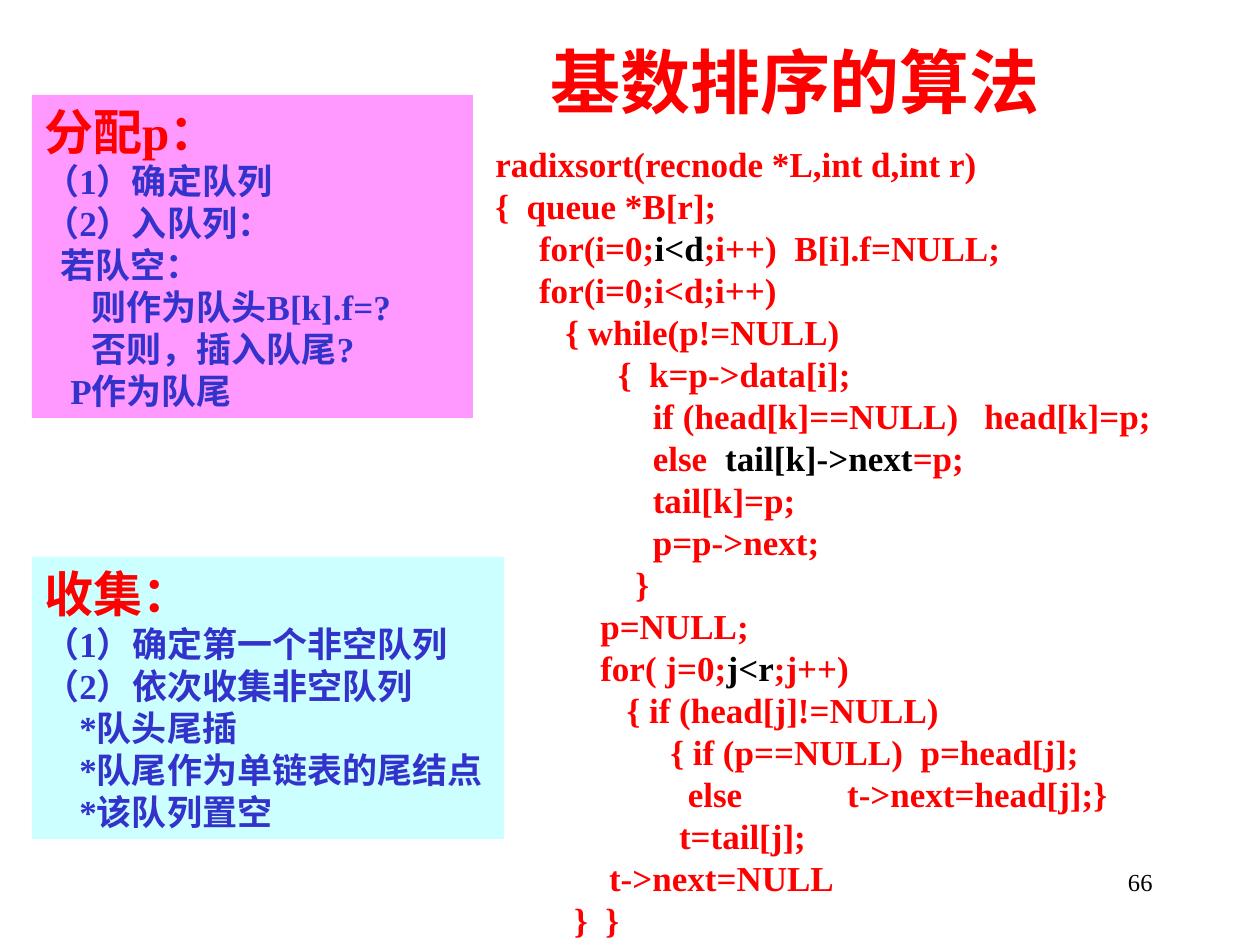
import pptx
import pptx.util
import pptx.dml.color
import pptx.enum.lang
import pptx.enum.shapes
import pptx.enum.text
from dataclasses import dataclass

ALIGN = pptx.enum.text.PP_ALIGN
ANCHOR = pptx.enum.text.MSO_ANCHOR
SCALE = 914400 / 126  # EMU in one px


@dataclass(frozen=True)
class Theme:
    face: str = "Times New Roman"
    red: str = "FF0000"
    blue: str = "3333CC"
    black: str = "000000"
    pink: str = "FF99FF"
    cyan: str = "CCFFFF"
    title: int = 40
    head: int = 28
    body: int = 20
    page: int = 14


THEME = Theme()

# Panel lines: indent in px, text
DEAL = [
    (0, "（1）确定队列"),
    (0, "（2）入队列："),
    (16, "若队空："),
    (47, "则作为队头B[k].f=?"),
    (47, "否则，插入队尾?"),
    (26, "P作为队尾"),
]
GATHER = [
    (0, "（1）确定第一个非空队列"),
    (0, "（2）依次收集非空队列"),
    (35, "*队头尾插"),
    (35, "*队尾作为单链表的尾结点"),
    (35, "*该队列置空"),
]

# Bars enclose the parts shown in black
CODE = """radixsort(recnode *L,int d,int r)
{  queue *B[r];
     for(i=0;|i<d|;i++)  B[i].f=NULL;
     for(i=0;i<d;i++)
        { while(p!=NULL)
              {  k=p->data[i];
                  if (head[k]==NULL)   head[k]=p;
                  else  |tail[k]->next|=p;
                  tail[k]=p;
                  p=p->next;
                }
            p=NULL;
            for( j=0;|j<r|;j++)
               { if (head[j]!=NULL)
                    { if (p==NULL)  p=head[j];
                      else            t->next=head[j];}
                     t=tail[j];
             t->next=NULL
         }  }"""


def px(n):
    return pptx.util.Emu(round(n * SCALE))


def rgb(code):
    return pptx.dml.color.RGBColor.from_string(code)


def style(para, size, color, bold=True, align=ALIGN.LEFT):
    para.alignment = align
    font = para.font
    font.name = THEME.face
    font.size = pptx.util.Pt(size)
    font.bold = bold
    font.color.rgb = rgb(color)
    font.language_id = pptx.enum.lang.MSO_LANGUAGE_ID.SIMPLIFIED_CHINESE


def setup(frame, wrap=True, anchor=ANCHOR.MIDDLE):
    frame.auto_size = pptx.enum.text.MSO_AUTO_SIZE.NONE
    frame.word_wrap = wrap
    frame.vertical_anchor = anchor


def add_title(slide, box, text):
    title = slide.shapes.title
    title.left, title.top, title.width, title.height = map(px, box)
    frame = title.text_frame
    setup(frame, wrap=False)
    # The full width keeps the title on one line
    frame.margin_left = frame.margin_right = 0
    frame.text = text
    style(frame.paragraphs[0], THEME.title, THEME.red, align=ALIGN.CENTER)


def add_panel(slide, box, fill, head, lines):
    kind = pptx.enum.shapes.MSO_SHAPE.RECTANGLE
    panel = slide.shapes.add_shape(kind, *map(px, box))
    panel.shadow.inherit = False
    panel.fill.solid()
    panel.fill.fore_color.rgb = rgb(fill)
    panel.line.fill.background()
    frame = panel.text_frame
    setup(frame)
    frame.text = head
    style(frame.paragraphs[0], THEME.head, THEME.red)
    for indent, text in lines:
        para = frame.add_paragraph()
        para.text = text
        style(para, THEME.body, THEME.blue)
        if indent:
            para._p.get_or_add_pPr().set("marL", str(px(indent)))


def add_code(slide, box, code):
    frame = slide.shapes.add_textbox(*map(px, box)).text_frame
    setup(frame, wrap=False)
    for row, line in enumerate(code.split("\n")):
        para = frame.add_paragraph() if row else frame.paragraphs[0]
        style(para, THEME.body, THEME.red)
        for part, text in enumerate(line.split("|")):
            run = para.add_run()
            run.text = text
            if part % 2:
                run.font.color.rgb = rgb(THEME.black)


def add_page(slide, box, text):
    frame = slide.shapes.add_textbox(*map(px, box)).text_frame
    setup(frame, anchor=ANCHOR.TOP)
    frame.text = text
    style(frame.paragraphs[0], THEME.page, THEME.black, False, ALIGN.RIGHT)


def main():
    deck = pptx.Presentation()
    deck.slide_width, deck.slide_height = px(1260), px(945)
    slide = deck.slides.add_slide(deck.slide_layouts[5])

    # Steps on the left
    add_panel(slide, (32, 95, 441, 323), THEME.pink, "分配p：", DEAL)
    add_panel(slide, (32, 557, 472, 282), THEME.cyan, "收集：", GATHER)

    # Title and algorithm on the right
    add_title(slide, (538, 32, 514, 97), "基数排序的算法")
    add_code(slide, (483, 136, 682, 811), CODE)

    # Page number
    add_page(slide, (903, 861, 262, 63), "66")
    deck.save("out.pptx")


if __name__ == "__main__":
    main()
